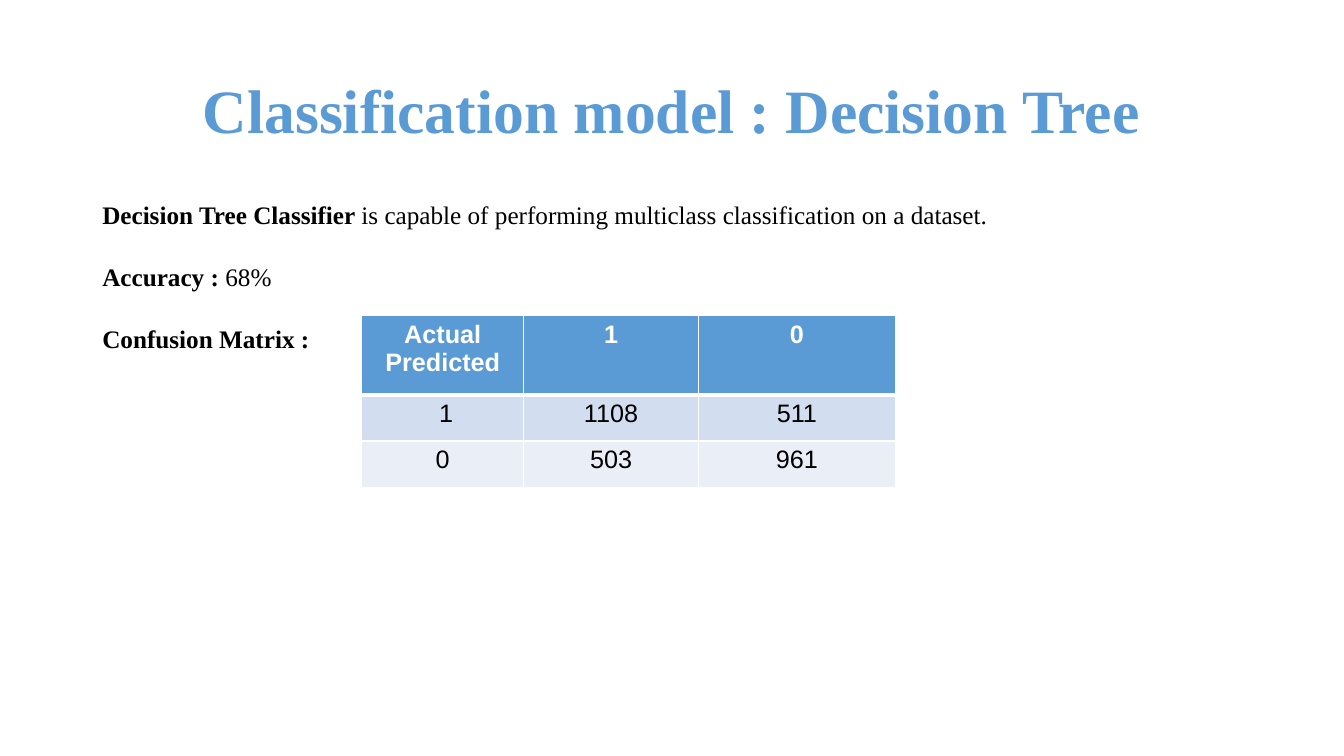
from lxml.etree import SubElement as Sub
from pptx import Presentation
from pptx.dml.color import RGBColor as RGB
from pptx.enum.text import MSO_ANCHOR as Anchor, PP_ALIGN as Align
from pptx.oxml.ns import qn
from pptx.util import Pt

INK = {"blue": "5B9BD5", "black": "000000", "white": "FFFFFF",
       "band": "D2DEEF", "pale": "EAEFF7"}


class Deck:
    serif, sans = "Times New Roman", "Arial"

    def __init__(self):
        self.prs = Presentation()
        self.prs.slide_width, self.prs.slide_height = Pt(960), Pt(540)
        self.slide = self.prs.slides.add_slide(self.prs.slide_layouts[6])

    def style(self, par, face, size, ink, bold=None):
        font = par.font
        font.name, font.size, font.bold = face, Pt(size), bold
        font.color.rgb = RGB.from_string(INK[ink])

    def box(self, x, y, w, h):
        frame = self.slide.shapes.add_textbox(Pt(x), Pt(y), Pt(w), Pt(h)).text_frame
        frame.word_wrap = True
        return frame

    def title(self, text, x, y, w, h):
        frame = self.box(x, y, w, h)
        frame.margin_left = frame.margin_right = 0
        frame.margin_top = frame.margin_bottom = 0
        frame.vertical_anchor = Anchor.MIDDLE
        par = frame.paragraphs[0]
        par.text, par.alignment, par.line_spacing = text, Align.CENTER, 0.9
        self.style(par, self.serif, 44, "blue", True)

    def body(self, lines, x, y, w, h, gap):
        frame = self.box(x, y, w, h)
        for i, (head, rest) in enumerate(lines):
            par = frame.add_paragraph() if i else frame.paragraphs[0]
            par.space_before = Pt(gap if i else 0)
            self.style(par, self.serif, 18, "black")
            run = par.add_run()
            run.text, run.font.bold = head, True
            if rest:
                par.add_run().text = rest

    def edges(self, cell, widths):
        props = cell._tc.get_or_add_tcPr()
        for side, width in widths.items():
            line = Sub(props, qn(f"a:ln{side}"), w=str(Pt(width)))
            fill = Sub(line, qn("a:solidFill"))
            Sub(fill, qn("a:srgbClr"), val=INK["white"])

    def table(self, data, x, y, cols, rows):
        grid = self.slide.shapes.add_table(
            len(rows), len(cols), Pt(x), Pt(y), Pt(sum(cols)), Pt(sum(rows))).table
        for col, width in zip(grid.columns, cols):
            col.width = Pt(width)
        for r, (texts, high) in enumerate(zip(data, rows)):
            grid.rows[r].height = Pt(high)
            for c, text in enumerate(texts):
                cell = grid.cell(r, c)
                # Borders come before the fill in the cell properties
                self.edges(cell, {"L": 1, "R": 1, "T": 3 if r == 1 else 1,
                                  "B": 3 if r == 0 else 1})
                cell.fill.solid()
                cell.fill.fore_color.rgb = RGB.from_string(
                    INK[("blue", "band", "pale")[r]])
                cell.text = text
                for par in cell.text_frame.paragraphs:
                    par.alignment = Align.CENTER
                    self.style(par, self.sans, 18, "black" if r else "white", r == 0)


def main():
    deck = Deck()

    # Title
    deck.title("Classification model : Decision Tree", 66, 29, 828, 104)

    # Model summary
    deck.body([
        ("Decision Tree Classifier ",
         "is capable of performing multiclass classification on a dataset."),
        ("Accuracy : ", "68%"),
        ("Confusion Matrix :", ""),
    ], 66, 139, 853, 181, gap=22.5)

    # Confusion matrix
    deck.table([
        ["Actual\nPredicted", "1", "0"],
        [" 1", "1108", "511"],
        ["0", "503", "961"],
    ], 258.5, 225.5, cols=[115.5, 125, 140.5], rows=[56.5, 33, 33])

    deck.prs.save("out.pptx")


if __name__ == "__main__":
    main()
